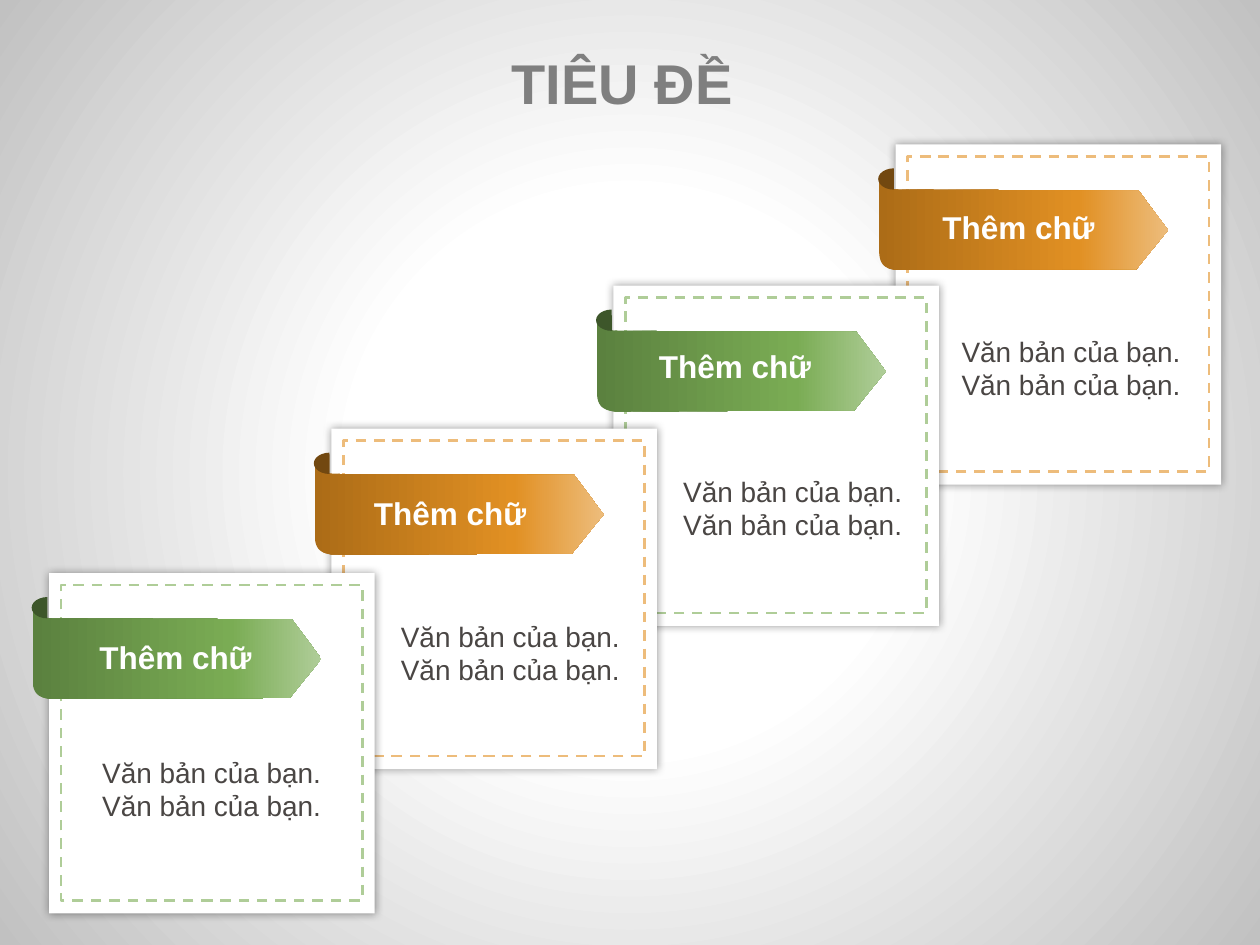
from lxml import etree
from pptx import Presentation
from pptx.dml.color import RGBColor
from pptx.enum.dml import MSO_LINE
from pptx.enum.shapes import MSO_SHAPE
from pptx.enum.text import MSO_ANCHOR, MSO_AUTO_SIZE, PP_ALIGN
from pptx.oxml import parse_xml
from pptx.oxml.ns import nsdecls, qn
from pptx.util import Pt


def paint(fill, colors, element=None):
    """Fill with one hex colour, or with (percent, hex) stops held in element."""
    if isinstance(colors, str):
        fill.solid()
        fill.fore_color.rgb = RGBColor.from_string(colors)
        return
    fill.gradient()
    stop_list = next(element.iter(qn("a:gsLst")))
    for stop in list(stop_list):
        stop_list.remove(stop)
    for percent, color in colors:
        stop = etree.SubElement(stop_list, qn("a:gs"), pos=str(percent * 1000))
        etree.SubElement(stop, qn("a:srgbClr"), val=color)


def write(shape, lines, size, color, bold, align, wrap):
    """Put formatted paragraphs into a text shape."""
    frame = shape.text_frame
    frame.text = "\n".join(lines)
    frame.word_wrap = wrap
    frame.auto_size = MSO_AUTO_SIZE.SHAPE_TO_FIT_TEXT
    frame.vertical_anchor = MSO_ANCHOR.MIDDLE
    for paragraph in frame.paragraphs:
        paragraph.alignment = align
        font = paragraph.runs[0].font
        font.name, font.size, font.bold = "Arial", Pt(size), bold
        paint(font.fill, color)


prs = Presentation()
prs.slide_width, prs.slide_height = Pt(720), Pt(540)
slide = prs.slides.add_slide(prs.slide_layouts[5])
shapes = slide.shapes

# Radial background
paint(slide.background.fill, [(35, "FFFFFF"), (100, "C1C1C1")], slide.element)
linear = next(slide.element.iter(qn("a:lin")))
linear.getparent().replace(linear, parse_xml(
    f'<a:path {nsdecls("a")} path="circle">'
    '<a:fillToRect l="50000" t="50000" r="50000" b="50000"/></a:path>'))

title = shapes.title
title.left, title.top, title.width, title.height = Pt(59), Pt(23.8), Pt(593.3), Pt(46)
write(title, ["TIÊU ĐỀ"], 32, "7F7F7F", True, PP_ALIGN.CENTER, False)

# Ribbon outline relative to its card: points, or cubic curves of three points
RIBBON = [
    (137.5, 71.3), (155.5, 49), (138.7, 26.4), (6, 25.9),
    ((0.2, 25.7), (-8, 26.7), (-9.5, 18)),
    (-9.5, 60.5),
    ((-9.5, 70), (-5, 71), (0.5, 72)),
]
START = (0.5, 72)
CURVE_STEPS = 12
outline = [START]
for part in RIBBON:
    if len(part) == 2:
        outline.append(part)
        continue
    curve = [outline[-1], *part]
    for step in range(1, CURVE_STEPS + 1):
        t = step / CURVE_STEPS
        weights = ((1 - t) ** 3, 3 * t * (1 - t) ** 2, 3 * t * t * (1 - t), t ** 3)
        outline.append(tuple(sum(w * point[axis] for w, point in zip(weights, curve))
                             for axis in (0, 1)))

# Ribbon stops, fold colour, dash colour
GREEN = ([(0, "5B813F"), (69, "7AAC54"), (100, "AFCD98")], "3D562A", "AFCD98")
ORANGE = ([(0, "AC6C17"), (69, "E19023"), (100, "EDBC7B")], "724810", "EDBC7B")
CARD_LEFT, CARD_STEP = 28.1, 161.25

# Card top, label position, body position, colours; left to right
cards = [
    (327.5, (49.7, 360.7), (41, 427.7), GREEN),
    (245, (206.6, 278.6), (211.7, 349.9), ORANGE),
    (163.2, (369.4, 194.4), (373, 267.1), GREEN),
    (82.5, (531.4, 115.2), (532.1, 187.2), ORANGE),
]

for index, (top, label_at, body_at, colors) in reversed(list(enumerate(cards))):
    left = CARD_LEFT + index * CARD_STEP
    stops, fold_color, dash_color = colors

    card = shapes.add_shape(MSO_SHAPE.RECTANGLE, Pt(left), Pt(top), Pt(186), Pt(194.5))
    paint(card.fill, "FFFFFF")
    card.line.fill.background()
    card.element.spPr.append(parse_xml(
        f'<a:effectLst {nsdecls("a")}><a:outerShdw blurRad="{Pt(5)}" dist="0" dir="0">'
        '<a:srgbClr val="000000"><a:alpha val="40000"/></a:srgbClr>'
        '</a:outerShdw></a:effectLst>'))

    border = shapes.add_shape(MSO_SHAPE.RECTANGLE, Pt(left + 6.8), Pt(top + 6.8),
                              Pt(172.2), Pt(180.3))
    border.shadow.inherit = False
    border.fill.background()
    paint(border.line.fill, dash_color)
    border.line.width = Pt(1.5)
    border.line.dash_style = MSO_LINE.DASH

    points = [(Pt(left + x), Pt(top + y)) for x, y in outline]
    builder = shapes.build_freeform(*points[0])
    builder.add_line_segments(points[1:], close=True)
    ribbon = builder.convert_to_shape()
    ribbon.shadow.inherit = False
    paint(ribbon.fill, stops, ribbon.element)
    ribbon.fill.gradient_angle = 0
    ribbon.line.fill.background()

    fold = shapes.add_shape(MSO_SHAPE.PIE, Pt(left - 10), Pt(top + 13.7), Pt(18), Pt(12.2))
    fold.adjustments[0], fold.adjustments[1] = 54.299, 162
    fold.element.spPr.xfrm.set("flipV", "1")
    fold.shadow.inherit = False
    paint(fold.fill, fold_color)
    fold.line.fill.background()

    label = shapes.add_textbox(Pt(label_at[0]), Pt(label_at[1]), Pt(102.2), Pt(29))
    write(label, ["Thêm chữ"], 18, "FFFFFF", True, PP_ALIGN.LEFT, False)
    body = shapes.add_textbox(Pt(body_at[0]), Pt(body_at[1]), Pt(160), Pt(46))
    write(body, ["Văn bản của bạn."] * 2, 16, "4A4644", False, PP_ALIGN.CENTER, True)

prs.save("out.pptx")
